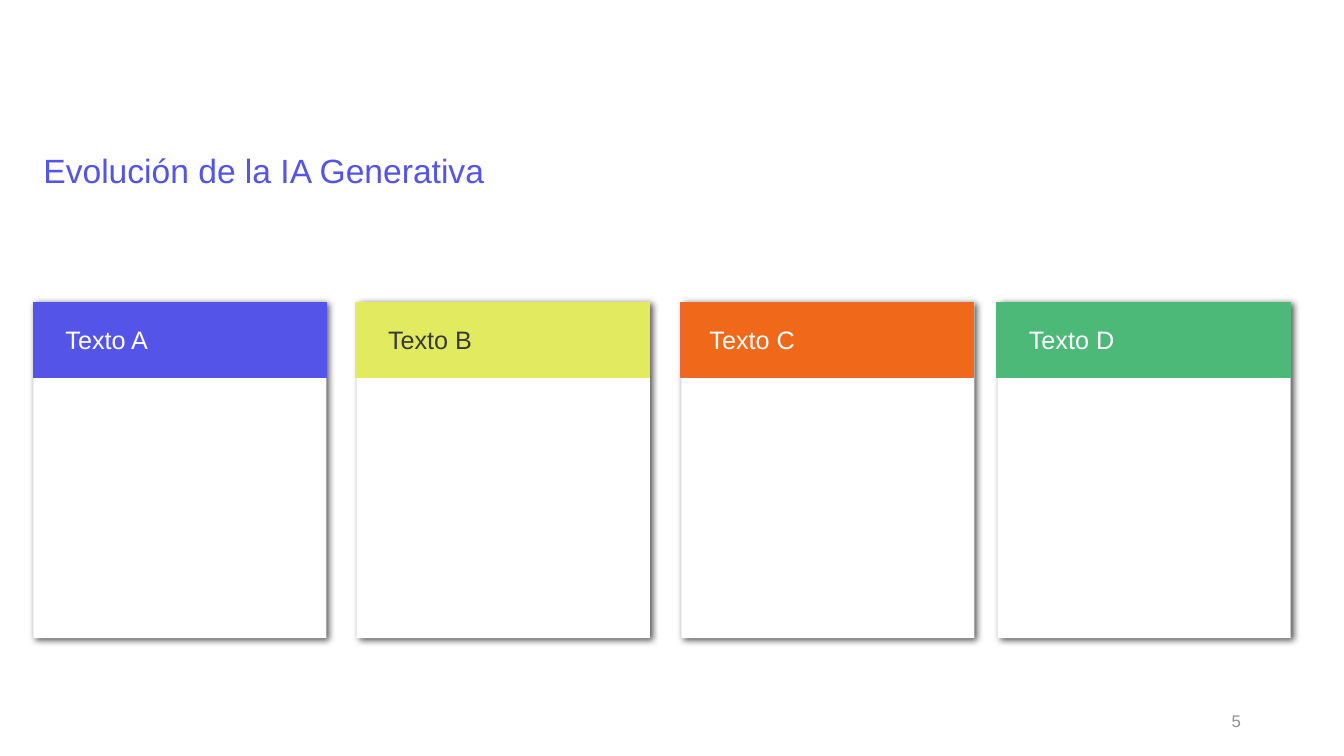
from dataclasses import dataclass

from lxml import etree
from pptx import Presentation
from pptx.dml.color import RGBColor
from pptx.enum.shapes import MSO_SHAPE as Preset
from pptx.enum.text import MSO_ANCHOR as Anchor, MSO_AUTO_SIZE as AutoSize, PP_ALIGN as Align
from pptx.oxml import parse_xml
from pptx.oxml.ns import nsdecls, qn
from pptx.shapes.autoshape import Shape
from pptx.slide import Slide
from pptx.text.text import TextFrame
from pptx.util import Cm, Pt

CARD_TOP = 7.62
CARD_WIDTH = 7.39
CARD_HEIGHT = 8.46
HEADER_HEIGHT = 1.9
SHADOW = (
    f'<a:effectLst {nsdecls("a")}>'
    '<a:outerShdw blurRad="63500" dist="25400" dir="1620000" algn="tl" rotWithShape="0">'
    '<a:srgbClr val="000000"><a:alpha val="66000"/></a:srgbClr>'
    '</a:outerShdw></a:effectLst>'
)


@dataclass(frozen=True)
class Card:
    heading: str
    left: float
    fill: str
    border: str
    ink: str = "FFFFFF"
    body_shift: float = 0.02
    heading_indent: float = 0.56


CARDS = [
    Card("Texto A", 0.84, "5454E9", "5454E9", body_shift=0),
    Card("Texto B", 8.97, "E2EB5F", "E4EB60", ink="393939"),
    Card("Texto C", 17.15, "F0681A", "E9683B", heading_indent=0.48),
    Card("Texto D", 25.12, "4CB978", "4CBA79"),
]


def color(value: str) -> RGBColor:
    return RGBColor.from_string(value)


def write(frame: TextFrame, text: str, size: float, ink: str, align: Align = Align.LEFT) -> None:
    frame.word_wrap = True
    frame.text = text
    paragraph = frame.paragraphs[0]
    paragraph.alignment = align
    paragraph.font.name = "Arial"
    paragraph.font.size = Pt(size)
    paragraph.font.color.rgb = color(ink)


def add_label(slide: Slide, left: float, top: float, width: float, text: str,
              size: float, ink: str, align: Align = Align.LEFT) -> TextFrame:
    frame = slide.shapes.add_textbox(Cm(left), Cm(top), Cm(width), Cm(1.02)).text_frame
    write(frame, text, size, ink, align)
    return frame


def add_block(slide: Slide, left: float, height: float, fill: str) -> Shape:
    block = slide.shapes.add_shape(
        Preset.RECTANGLE, Cm(left), Cm(CARD_TOP), Cm(CARD_WIDTH), Cm(height))
    block.shadow.inherit = False
    block.fill.solid()
    block.fill.fore_color.rgb = color(fill)
    return block


def cast_shadow(block: Shape) -> None:
    properties: etree.ElementBase = block.element.spPr
    properties.replace(properties.find(qn("a:effectLst")), parse_xml(SHADOW))


def add_card(slide: Slide, card: Card) -> None:
    body = add_block(slide, card.left + card.body_shift, CARD_HEIGHT, "FFFFFF")
    body.line.fill.background()
    cast_shadow(body)
    header = add_block(slide, card.left, HEADER_HEIGHT, card.fill)
    header.line.color.rgb = color(card.border)
    header.line.width = Pt(1)
    heading = add_label(slide, card.left + card.heading_indent, 8.05, 6.4,
                        card.heading, 18, card.ink)
    heading.auto_size = AutoSize.SHAPE_TO_FIT_TEXT


def add_title(slide: Slide, text: str) -> None:
    title = slide.shapes.title
    title.left, title.top, title.width, title.height = Cm(0.84), Cm(3.76), Cm(31.6), Cm(1.8)
    frame = title.text_frame
    frame.auto_size = AutoSize.NONE
    frame.vertical_anchor = Anchor.TOP
    write(frame, text, 24, "5454E9")
    frame.paragraphs[0].line_spacing = 0.9


def main() -> None:
    deck = Presentation()
    deck.slide_width, deck.slide_height = Cm(33.87), Cm(19.05)
    slide = deck.slides.add_slide(deck.slide_layouts[5])
    add_title(slide, "Evolución de la IA Generativa")
    for card in CARDS:
        add_card(slide, card)
    page_number = add_label(slide, 23.9, 17.65, 7.62, "5", 12, "919191", Align.RIGHT)
    page_number.vertical_anchor = Anchor.MIDDLE
    deck.save("out.pptx")


if __name__ == "__main__":
    main()
